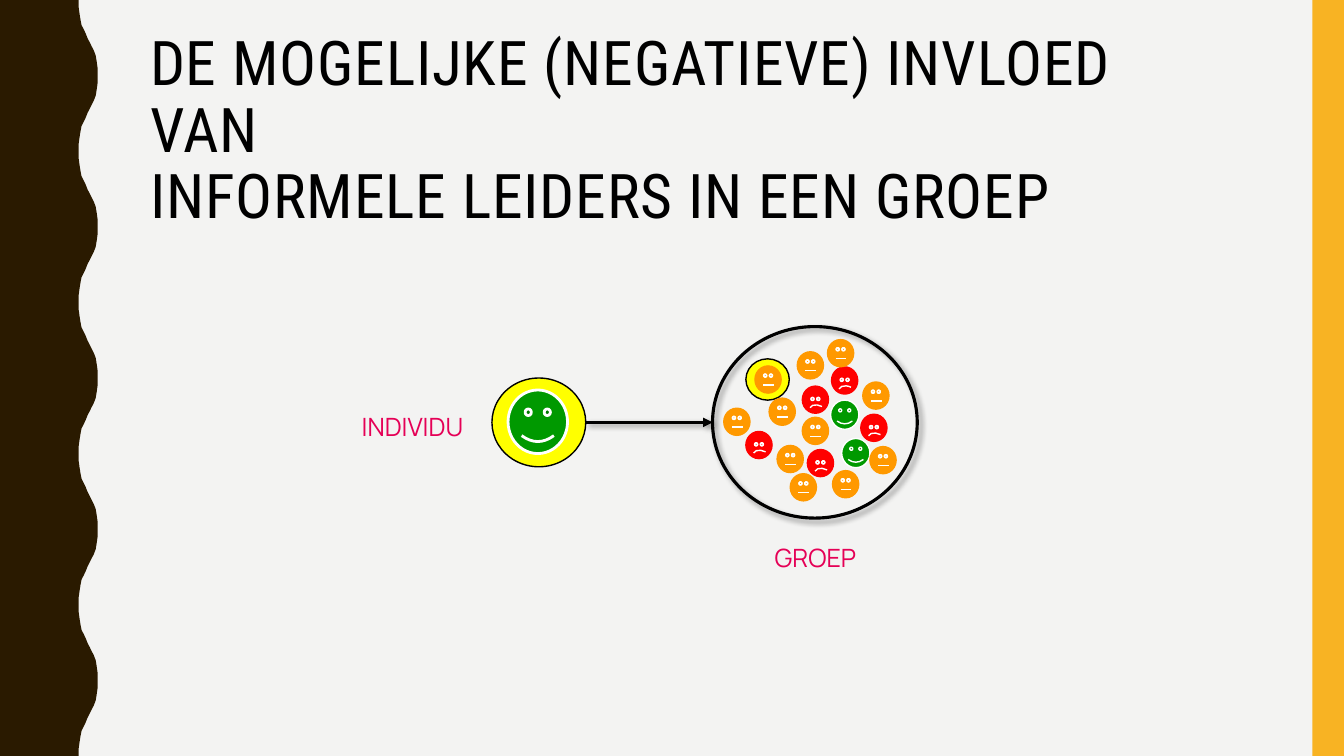
import dataclasses
import typing

import lxml.etree
import pptx
import pptx.dml.color
import pptx.enum.shapes
import pptx.enum.text
import pptx.oxml.ns
import pptx.util

Pt = pptx.util.Pt
Kind = pptx.enum.shapes.MSO_SHAPE
Align = pptx.enum.text.PP_ALIGN
Anchor = pptx.enum.text.MSO_ANCHOR
Fit = pptx.enum.text.MSO_AUTO_SIZE
WIDE, HIGH = 960, 540
BLACK, WHITE, YELLOW = "000000", "FFFFFF", "FFFF00"
GREEN, ORANGE, RED = "009900", "FF9900", "FF0000"


@dataclasses.dataclass
class Disc:
    kind: int
    left: float
    top: float
    wide: float
    high: float
    fill: typing.Optional[str]
    line: typing.Optional[str]
    weight: float = 1
    turn: float = 0
    shade: bool = False


@dataclasses.dataclass
class Face:
    left: float
    top: float
    sad: bool = False
    tilt: float = 0


@dataclasses.dataclass
class Label:
    text: str
    left: float
    top: float
    wide: float
    align: int


def color(code: str) -> pptx.dml.color.RGBColor:
    return pptx.dml.color.RGBColor.from_string(code)


def put(item: typing.Any, values: dict) -> None:
    for name, value in values.items():
        setattr(item, name, value)


def add_xml(parent: typing.Any, tag: str, **attrs: str) -> typing.Any:
    return lxml.etree.SubElement(parent, pptx.oxml.ns.qn(tag), attrs)


def stroke(item: typing.Any, code: typing.Optional[str], weight: float) -> None:
    if code is None:
        item.line.fill.background()
    else:
        item.line.color.rgb = color(code)
        item.line.width = Pt(weight)


def set_shade(item: typing.Any, shade: bool) -> None:
    effects = add_xml(item._element.spPr, "a:effectLst")
    if shade:
        outer = add_xml(effects, "a:outerShdw", blurRad=str(Pt(4)), dist=str(Pt(3)),
                        dir="2700000", algn="tl", rotWithShape="0")
        add_xml(add_xml(outer, "a:srgbClr", val=BLACK), "a:alpha", val="40000")


def draw(shapes: typing.Any, disc: Disc) -> typing.Any:
    box = (Pt(v) for v in (disc.left, disc.top, disc.wide, disc.high))
    item = shapes.add_shape(disc.kind, *box)
    item.rotation = disc.turn
    if disc.fill is None:
        item.fill.background()
    else:
        item.fill.solid()
        item.fill.fore_color.rgb = color(disc.fill)
    stroke(item, disc.line, disc.weight)
    set_shade(item, disc.shade)
    return item


def join(shapes: typing.Any, x1: float, x2: float, y: float, code: str,
         weight: float, arrow: bool = False) -> None:
    item = shapes.add_connector(pptx.enum.shapes.MSO_CONNECTOR.STRAIGHT,
                                Pt(x1), Pt(y), Pt(x2), Pt(y))
    stroke(item, code, weight)
    if arrow:
        add_xml(item.line._get_or_add_ln(), "a:tailEnd", type="triangle")
    set_shade(item, arrow)


def draw_face(shapes: typing.Any, face: Face) -> None:
    parts = shapes.add_group_shape().shapes
    x, y, tint = face.left, face.top, RED if face.sad else ORANGE
    turn = face.tilt % 360
    draw(parts, Disc(Kind.OVAL, x, y, 18.7, 19.4, tint, tint, turn=turn))
    if face.sad:
        draw(parts, Disc(Kind.ARC, x + 7.2, y + 11.5, 9.4, 14.4, None, WHITE,
                         turn=297.7 + face.tilt))
    else:
        join(parts, x + 5.8, x + 13.5, y + 13.5, WHITE, 1)
    for eye in (10.3, 6.2):
        ring = draw(parts, Disc(Kind.DONUT, x + eye, y + (8.1 if face.sad else 5.8),
                                2.2, 2.2, WHITE, WHITE, turn=turn))
        ring.adjustments[0] = 0.053


def draw_wave(shapes: typing.Any) -> None:
    rise = [(56.2, 0), (56.2, 5), (56.9, 10), (57.6, 14.4), (58.3, 18), (59.8, 20.9),
            (61.2, 23.8), (62.6, 27.4), (64.1, 30.2), (65.5, 33.1), (67, 36),
            (68.4, 39.6), (69.1, 43.9), (69.8, 49), (69.8, 54)]
    span = 108
    bump = rise + [(x, span - y) for x, y in reversed(rise[:-1])]
    edge = [(Pt(x), Pt(y + span * turn)) for turn in range(5) for x, y in bump]
    form = shapes.build_freeform(0, 0)
    form.add_line_segments(edge + [(0, Pt(HIGH))], close=True)
    wave = form.convert_to_shape()
    wave.fill.solid()
    wave.fill.fore_color.rgb = color("2A1A00")
    stroke(wave, None, 0)
    set_shade(wave, False)


def style(par: typing.Any, name: str, size: float, code: str) -> None:
    for run in par.runs:
        put(run.font, {"name": name, "size": Pt(size), "bold": False})
        run.font.color.rgb = color(code)


def write(shapes: typing.Any, label: Label) -> None:
    box = shapes.add_textbox(Pt(label.left), Pt(label.top), Pt(label.wide), Pt(29))
    put(box.text_frame, {"text": label.text, "word_wrap": True,
                         "auto_size": Fit.SHAPE_TO_FIT_TEXT})
    par = box.text_frame.paragraphs[0]
    par.alignment = label.align
    style(par, "Manrope", 18, "E50056")


def set_title(title: typing.Any) -> None:
    put(title, {"left": Pt(100), "top": Pt(62.6), "width": Pt(726.5), "height": Pt(64)})
    put(title.text_frame, {
        "text": "DE MOGELIJKE (NEGATIEVE) INVLOED VAN \vINFORMELE LEIDERS IN EEN GROEP",
        "word_wrap": True, "auto_size": Fit.NONE, "vertical_anchor": Anchor.MIDDLE})
    par = title.text_frame.paragraphs[0]
    put(par, {"alignment": Align.LEFT, "line_spacing": 0.9, "space_before": Pt(0)})
    style(par, "Roboto Condensed", 44, BLACK)
    for run in par.runs:
        run._r.get_or_add_rPr().set("spc", "60")


# Discs behind the faces, and the happy faces
DISCS = [
    Disc(Kind.OVAL, 532.8, 256.3, 31, 29.5, YELLOW, BLACK),
    Disc(Kind.OVAL, 351.4, 270, 67, 63.4, YELLOW, BLACK),
    Disc(Kind.SMILEY_FACE, 362.9, 278.6, 42.5, 45.4, GREEN, WHITE, 2),
    Disc(Kind.SMILEY_FACE, 601.2, 313.2, 20.2, 20.9, GREEN, WHITE),
    Disc(Kind.SMILEY_FACE, 593.3, 285.8, 20.2, 20.9, GREEN, WHITE),
]
FACES = [
    Face(549.4, 284.4), Face(573.1, 275.8, True), Face(573.1, 298.1),
    Face(555.1, 318.2), Face(594.7, 336.2), Face(616.3, 272.9),
    Face(594, 262.1, True, -2.5), Face(532.8, 308.2, True),
    Face(576.7, 321.1, True), Face(614.9, 295.9, True), Face(539.3, 261.4),
    Face(564.5, 338.4), Face(569.5, 251.3), Face(621.4, 319),
    Face(517, 291.6), Face(591.1, 242.6),
]
RING = Disc(Kind.OVAL, 509, 233.3, 146.2, 136.8, None, BLACK, 2.25, shade=True)
LABELS = [
    Label("INDIVIDU", 251.3, 290.2, 129.6, Align.LEFT),
    Label("GROEP", 537.1, 383.8, 90.7, Align.CENTER),
]


def main() -> None:
    deck = pptx.Presentation()
    put(deck, {"slide_width": Pt(WIDE), "slide_height": Pt(HIGH)})
    slide = deck.slides.add_slide(deck.slide_layouts[5])
    shapes = slide.shapes

    # Backdrop and title
    slide.background.fill.solid()
    slide.background.fill.fore_color.rgb = color("F3F3F2")
    draw_wave(shapes)
    draw(shapes, Disc(Kind.RECTANGLE, 937.5, 0, 22.5, HIGH, "F8B323", None))
    set_title(shapes.title)

    # Individual, arrow and group
    for disc in DISCS:
        draw(shapes, disc)
    for face in FACES:
        draw_face(shapes, face)
    draw(shapes, RING)
    join(shapes, 418.3, RING.left, 301.7, BLACK, 2.25, arrow=True)
    for label in LABELS:
        write(shapes, label)
    deck.save("out.pptx")


if __name__ == "__main__":
    main()
